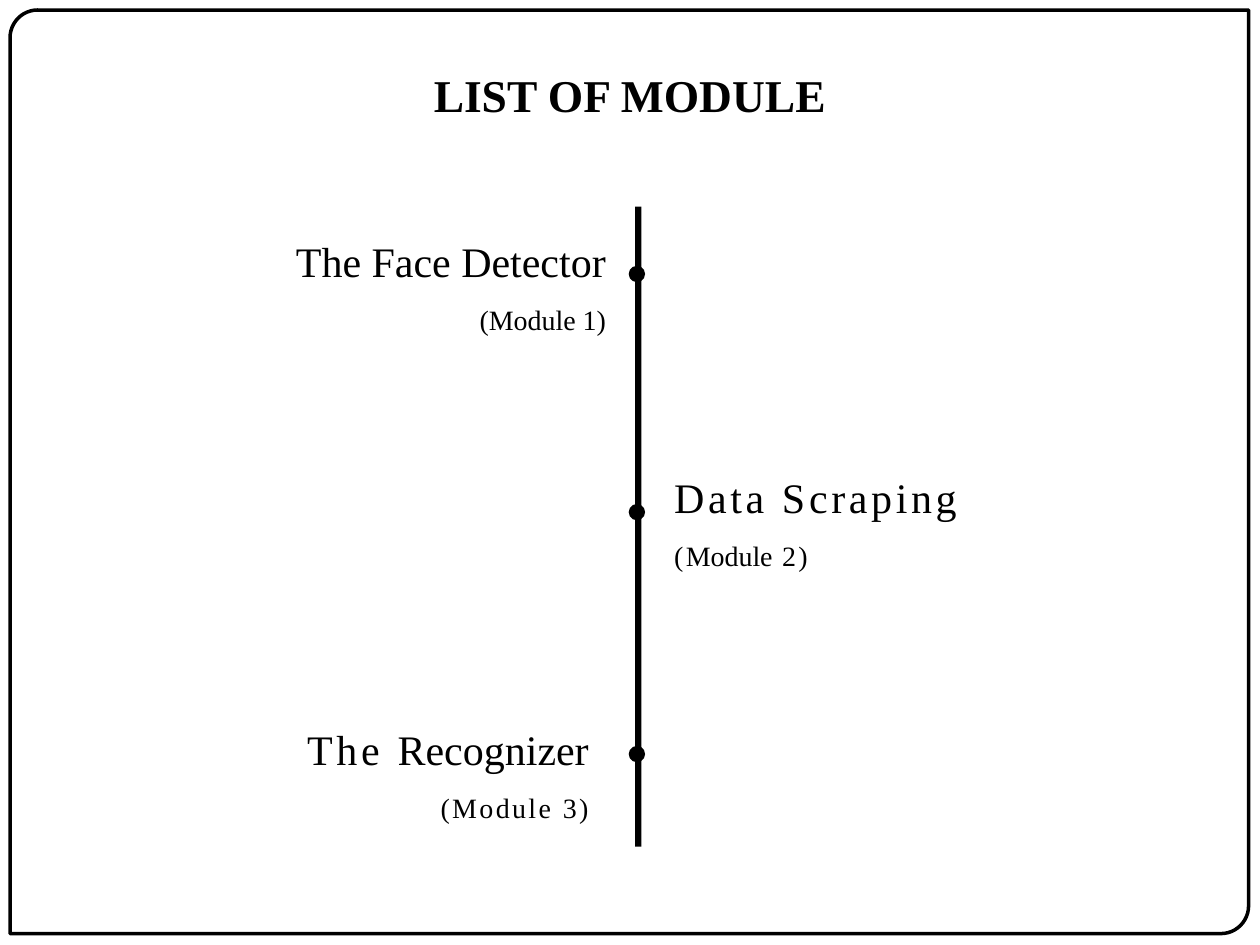
from pptx import Presentation
from pptx.dml.color import RGBColor
from pptx.enum.shapes import MSO_SHAPE as Shape
from pptx.enum.text import MSO_ANCHOR as Anchor, MSO_AUTO_SIZE as AutoSize, PP_ALIGN as Align
from pptx.util import Inches, Pt

COLUMNS, ROWS = 100, 75
AXIS, DOT = 50.55, 1.3


def color(code):
    """Turn a hex string into a colour."""
    return RGBColor.from_string(code)


class ModuleSlide:
    """Hold the style and the current slide, and draw on a grid of columns and rows."""

    font, ink = "Times New Roman", "000000"
    title_size, name_size, note_size = 26, 24, 16

    def __init__(self, deck):
        """Add a title-only slide to the deck."""
        self.column = deck.slide_width / COLUMNS
        self.row = deck.slide_height / ROWS
        self.slide = deck.slides.add_slide(deck.slide_layouts[5])

    def place(self, left, top, width, height):
        """Convert grid units to slide lengths."""
        return (round(left * self.column), round(top * self.row),
                round(width * self.column), round(height * self.row))

    def add_text(self, paragraph, text, size, bold=False, spacing=0):
        """Add one styled run to a paragraph."""
        run = paragraph.add_run()
        run.text = text
        run.font.name, run.font.size, run.font.bold = self.font, Pt(size), bold
        run.font.color.rgb = color(self.ink)
        if spacing:
            run._r.get_or_add_rPr().set("spc", str(round(spacing * 100)))

    def title(self, text, *box):
        """Move and format the title placeholder."""
        heading = self.slide.shapes.title
        heading.left, heading.top, heading.width, heading.height = self.place(*box)
        heading.text_frame.vertical_anchor = Anchor.MIDDLE
        paragraph = heading.text_frame.paragraphs[0]
        paragraph.alignment = Align.CENTER
        self.add_text(paragraph, text, self.title_size, bold=True)

    def solid(self, kind, *box):
        """Draw a filled shape without outline."""
        part = self.slide.shapes.add_shape(kind, *self.place(*box))
        part.shadow.inherit = False
        part.fill.solid()
        part.fill.fore_color.rgb = color(self.ink)
        part.line.fill.background()

    def frame(self, *box):
        """Draw the outline with two rounded corners."""
        border = self.slide.shapes.add_shape(Shape.ROUND_2_DIAG_RECTANGLE, *self.place(*box))
        border.shadow.inherit = False
        border.adjustments[0], border.adjustments[1] = 0.03, 0
        border.fill.background()
        border.line.color.rgb = color(self.ink)
        border.line.width = Pt(2)

    def label(self, box, align, name, note, name_indent):
        """Set a module name with its number below."""
        frame = self.slide.shapes.add_textbox(*self.place(*box)).text_frame
        frame.word_wrap, frame.auto_size = True, AutoSize.SHAPE_TO_FIT_TEXT
        frame.margin_left = frame.margin_top = frame.margin_right = frame.margin_bottom = 0
        name_line, note_line = frame.paragraphs[0], frame.add_paragraph()
        for line, runs, size in ((name_line, name, self.name_size), (note_line, note, self.note_size)):
            line.alignment, line.line_spacing = align, 1.5
            for text, spacing in runs:
                self.add_text(line, text, size, spacing=spacing)
        if name_indent:
            name_line._p.get_or_add_pPr().set("marR", str(Pt(name_indent)))


def main():
    """Build the slide and save it."""
    deck = Presentation()
    deck.slide_width, deck.slide_height = Inches(10), Inches(7.5)
    page = ModuleSlide(deck)
    page.frame(0.8, 0.8, 98.3, 73.3)
    page.title("LIST OF MODULE", 5, 2.7, 90, 9.5)
    page.solid(Shape.RECTANGLE, 50.4, 16.4, 0.5, 50.8)
    modules = [
        (21.75, (20.8, 16.7, 27.3, 9.6), Align.RIGHT,
         [("The Face Detector", 0)], [("(Module 1)", 0)], 0),
        (40.65, (53.5, 35.4, 30.9, 9.6), Align.LEFT,
         [("Data Scraping", 2.1)], [("(", 1.4), ("Module", 0), (" 2)", 1.4)], 0),
        (59.85, (20.6, 55.4, 27.8, 9.6), Align.RIGHT,
         [("The ", 2.1), ("Recognizer", 0)], [("(Module 3)", 1.4)], 12),
    ]
    for center, box, align, name, note, name_indent in modules:
        page.solid(Shape.OVAL, AXIS - DOT / 2, center - DOT / 2, DOT, DOT)
        page.label(box, align, name, note, name_indent)
    deck.save("out.pptx")


if __name__ == "__main__":
    main()
